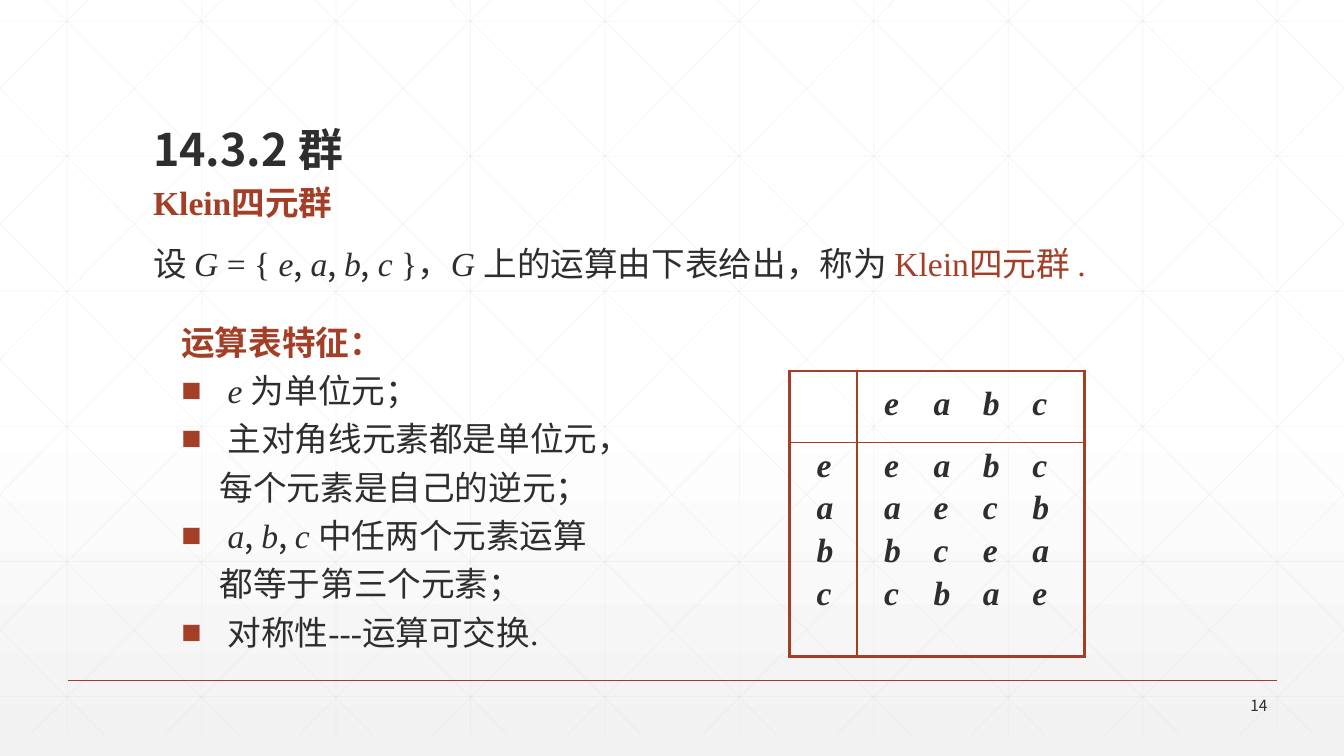
from lxml import etree
from pptx import Presentation
from pptx.dml.color import RGBColor
from pptx.enum.shapes import MSO_CONNECTOR
from pptx.enum.text import MSO_ANCHOR, PP_ALIGN
from pptx.oxml.ns import qn
from pptx.util import Inches, Pt

STRAIGHT = MSO_CONNECTOR.STRAIGHT
TOP, MIDDLE, BOTTOM = MSO_ANCHOR.TOP, MSO_ANCHOR.MIDDLE, MSO_ANCHOR.BOTTOM
LEFT, RIGHT = PP_ALIGN.LEFT, PP_ALIGN.RIGHT
SANS, SERIF = "Noto Sans CJK SC", "Times New Roman"
RED, DARK, GRID = "A43F27", "2D2E2D", "D9D9D9"
SLIDE_W, SLIDE_H = 13.33, 7.5

# Run formats
PLAIN = {"name": SERIF, "size": Pt(24), "color": DARK, "bold": False, "italic": False}
SANS_PLAIN = {**PLAIN, "name": SANS}
ITALIC = {**PLAIN, "italic": True}
RED_PLAIN = {**PLAIN, "color": RED}
RED_BOLD = {**RED_PLAIN, "bold": True}
RED_SANS_BOLD = {**RED_BOLD, "name": SANS}
ENTRY = {**ITALIC, "bold": True}
TITLE = {**SANS_PLAIN, "size": Pt(32), "bold": True}
NUMBER = {**SANS_PLAIN, "size": Pt(11)}
COMMA = (", ", SANS_PLAIN)


def rgb(value):
    return RGBColor.from_string(value)


def add_xml(parent, tag, **attributes):
    return etree.SubElement(parent, qn(tag), attributes)


def add_line(slide, start, end, color, width, alpha=None):
    line = slide.shapes.add_connector(STRAIGHT, *map(Inches, start + end))
    line.line.color.rgb = rgb(color)
    line.line.width = Pt(width)
    add_xml(line._element.spPr, "a:effectLst")
    if alpha:
        fill_color = line._element.spPr.find(".//" + qn("a:srgbClr"))
        add_xml(fill_color, "a:alpha", val=str(alpha * 1000))


def write_paragraphs(frame, paragraphs):
    """Each paragraph is a list of (text, format) runs and a dict of settings."""
    for index, (runs, settings) in enumerate(paragraphs):
        paragraph = frame.add_paragraph() if index else frame.paragraphs[0]
        for key, value in settings.items():
            if index or key != "space_before":
                setattr(paragraph, key, value)
        for text, style in runs:
            run = paragraph.add_run()
            run.text = text
            for key, value in style.items():
                if key == "color":
                    run.font.color.rgb = rgb(value)
                else:
                    setattr(run.font, key, value)
            add_xml(run._r.get_or_add_rPr(), "a:ea", typeface=SANS)


def add_text(slide, box, paragraphs, anchor=TOP):
    frame = slide.shapes.add_textbox(*map(Inches, box)).text_frame
    frame.word_wrap = True
    frame.vertical_anchor = anchor
    write_paragraphs(frame, paragraphs)
    return frame


def set_indent(paragraph, left, first):
    properties = paragraph._p.get_or_add_pPr()
    properties.set("marL", str(Inches(left)))
    properties.set("indent", str(Inches(first)))
    return properties


def draw_backdrop(slide):
    fill = slide.background.fill
    fill.gradient()
    fill.gradient_angle = 270
    for stop, position, color in zip(fill.gradient_stops, (0.53, 1), ("FFFFFF", "F2F2F2")):
        stop.position = position
        stop.color.rgb = rgb(color)

    top, bottom, step, run = -0.21, 7.29, 4 / 3, 7.45
    slope = (bottom - top) / run
    lines = [((x, top), (x, bottom)) for x in (step * (i + 0.5) for i in range(10))]
    lines += [((0, y), (SLIDE_W, y)) for y in (0.21 + 1.34 * j for j in range(6))]
    # Diagonals are clipped at the slide sides and mirrored
    for k in range(-5, 10):
        x = 0.25 + step * k
        x1, x2 = max(x, 0), min(x + run, SLIDE_W)
        y1, y2 = top + (x1 - x) * slope, top + (x2 - x) * slope
        lines.append(((x1, y1), (x2, y2)))
        lines.append(((SLIDE_W - x1, y1), (SLIDE_W - x2, y2)))
    for start, end in lines:
        add_line(slide, start, end, GRID, 0.5, alpha=25)


def draw_footer(slide, left, top, width):
    add_line(slide, (left, top), (left + width, top), RED, 1)
    add_text(slide, (left + width - 1, top + 0.13, 1, 0.24),
             [([("14", NUMBER)], {"alignment": RIGHT})], MIDDLE)


def draw_definition(slide, box):
    spacing = {"line_spacing": 0.9, "space_before": Pt(18)}
    definition = [
        ("设 ", PLAIN), ("G ", ITALIC), ("= { ", PLAIN), ("e", ITALIC), COMMA,
        ("a", ITALIC), COMMA, ("b", ITALIC), COMMA, ("c ", ITALIC), ("}，", PLAIN),
        ("G ", ITALIC), ("上的运算由下表给出，称为 ", PLAIN), ("Klein四元群 .", RED_PLAIN)]
    frame = add_text(slide, box, [([("Klein四元群", RED_BOLD)], spacing), (definition, spacing)])
    for paragraph in frame.paragraphs:
        set_indent(paragraph, 0.25, -0.25)


def draw_features(slide, box):
    # (is bulleted, runs)
    features = [
        (True, [("e ", ITALIC), ("为单位元；", PLAIN)]),
        (True, [("主对角线元素都是单位元，", SANS_PLAIN)]),
        (False, [("每个元素是自己的逆元；", SANS_PLAIN)]),
        (True, [("a", ITALIC), COMMA, ("b", ITALIC), COMMA, ("c ", ITALIC),
                ("中任两个元素运算", SANS_PLAIN)]),
        (False, [("都等于第三个元素；", SANS_PLAIN)]),
        (True, [("对称性---运算可交换.", PLAIN)])]
    spacing = {"line_spacing": 1.2}
    heading = ([("运算表特征：", RED_SANS_BOLD)], spacing)
    frame = add_text(slide, box, [heading] + [(runs, spacing) for _, runs in features])
    for paragraph, (bulleted, _) in zip(frame.paragraphs[1:], features):
        if bulleted:
            properties = set_indent(paragraph, 0.46, -0.46)
            add_xml(add_xml(properties, "a:buClr"), "a:srgbClr", val=RED)
            add_xml(properties, "a:buFont", typeface=SERIF)
            add_xml(properties, "a:buChar", char="■")
        else:
            set_indent(paragraph, 0.38, 0)


def draw_operation_table(slide, left, top):
    widths, heights = (0.67, 2.26), (0.71, 2.12)
    contents = [[[], ["eabc"]], [list("eabc"), ["eabc", "aecb", "bcea", "cbae"]]]
    table = slide.shapes.add_table(2, 2, *map(Inches, (left, top, sum(widths), sum(heights)))).table
    table.first_row = table.horz_banding = False
    for i in range(2):
        table.columns[i].width = Inches(widths[i])
        table.rows[i].height = Inches(heights[i])
    for r, row in enumerate(contents):
        for c, entries in enumerate(row):
            cell = table.cell(r, c)
            cell.margin_left = Inches(0.27)
            settings = {"line_spacing": 1 if r else 1.25, "space_before": Pt(3.85),
                        "alignment": LEFT}
            write_paragraphs(cell.text_frame,
                             [([("\t".join(line), ENTRY)], settings) for line in entries])
            # Tab stops line up the entries
            if c:
                for paragraph in cell.text_frame.paragraphs:
                    tabs = add_xml(paragraph._p.get_or_add_pPr(), "a:tabLst")
                    for k in (1, 2, 3):
                        add_xml(tabs, "a:tab", pos=str(Inches(0.49 * k)), algn="l")
            # Thick outer frame, thin inner rules
            properties = cell._tc.get_or_add_tcPr()
            for side, outer in (("L", c == 0), ("R", c == 1), ("T", r == 0), ("B", r == 1)):
                border = add_xml(properties, "a:ln" + side, w=str(Pt(2.25 if outer else 1)))
                add_xml(add_xml(border, "a:solidFill"), "a:srgbClr", val=RED)
            cell.fill.background()


def main():
    deck = Presentation()
    deck.slide_width, deck.slide_height = Inches(SLIDE_W), Inches(SLIDE_H)
    slide = deck.slides.add_slide(deck.slide_layouts[6])
    draw_backdrop(slide)
    draw_footer(slide, 0.67, 6.75, 12)
    add_text(slide, (1.42, 0.55, 10.5, 1.25),
             [([("14.3.2 群", TITLE)], {"line_spacing": 0.9})], BOTTOM)
    draw_definition(slide, (1.42, 1.8, 10.5, 1.79))
    draw_operation_table(slide, 7.83, 3.68)
    draw_features(slide, (1.7, 3.06, 4.96, 3.45))
    deck.save("out.pptx")


if __name__ == "__main__":
    main()
